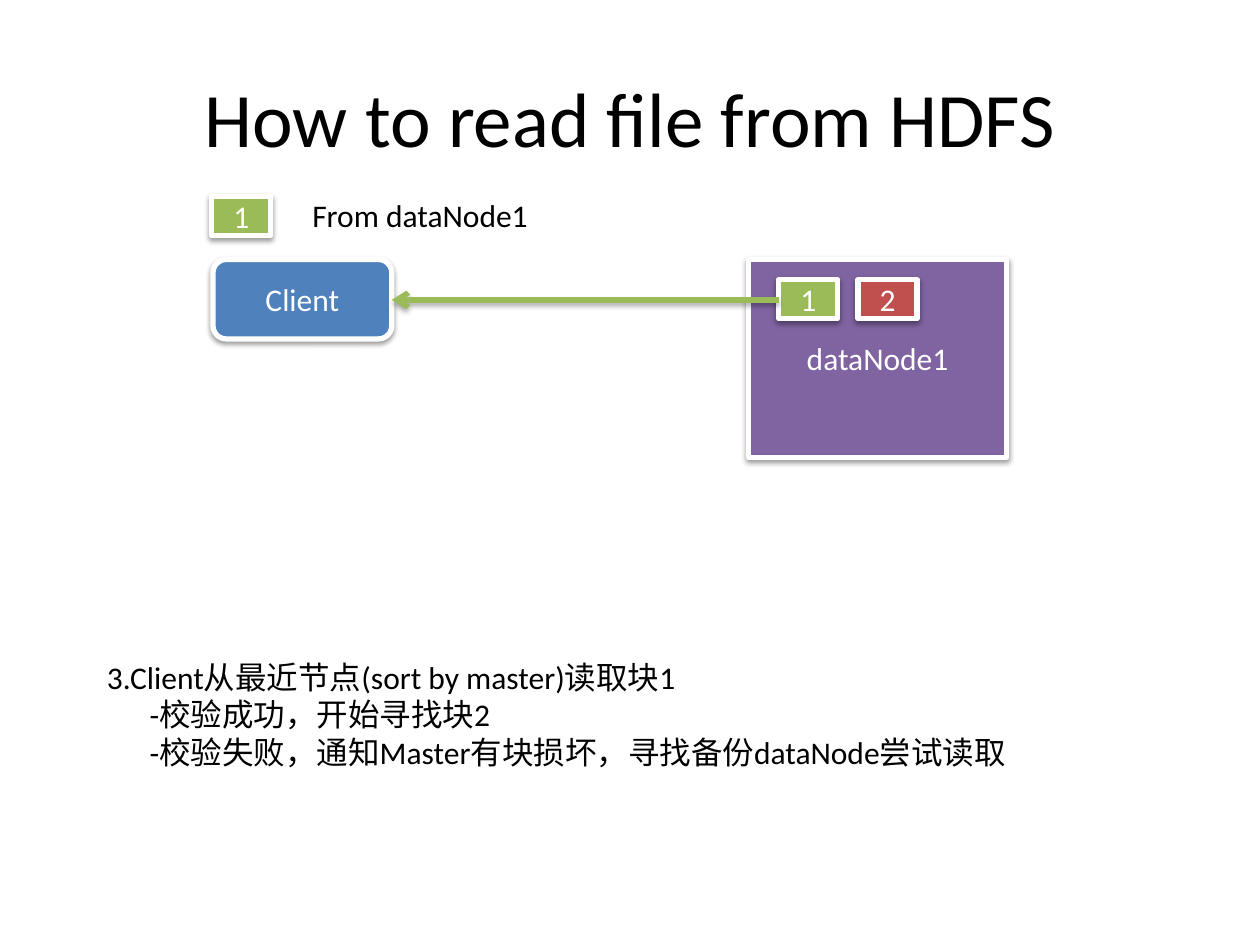
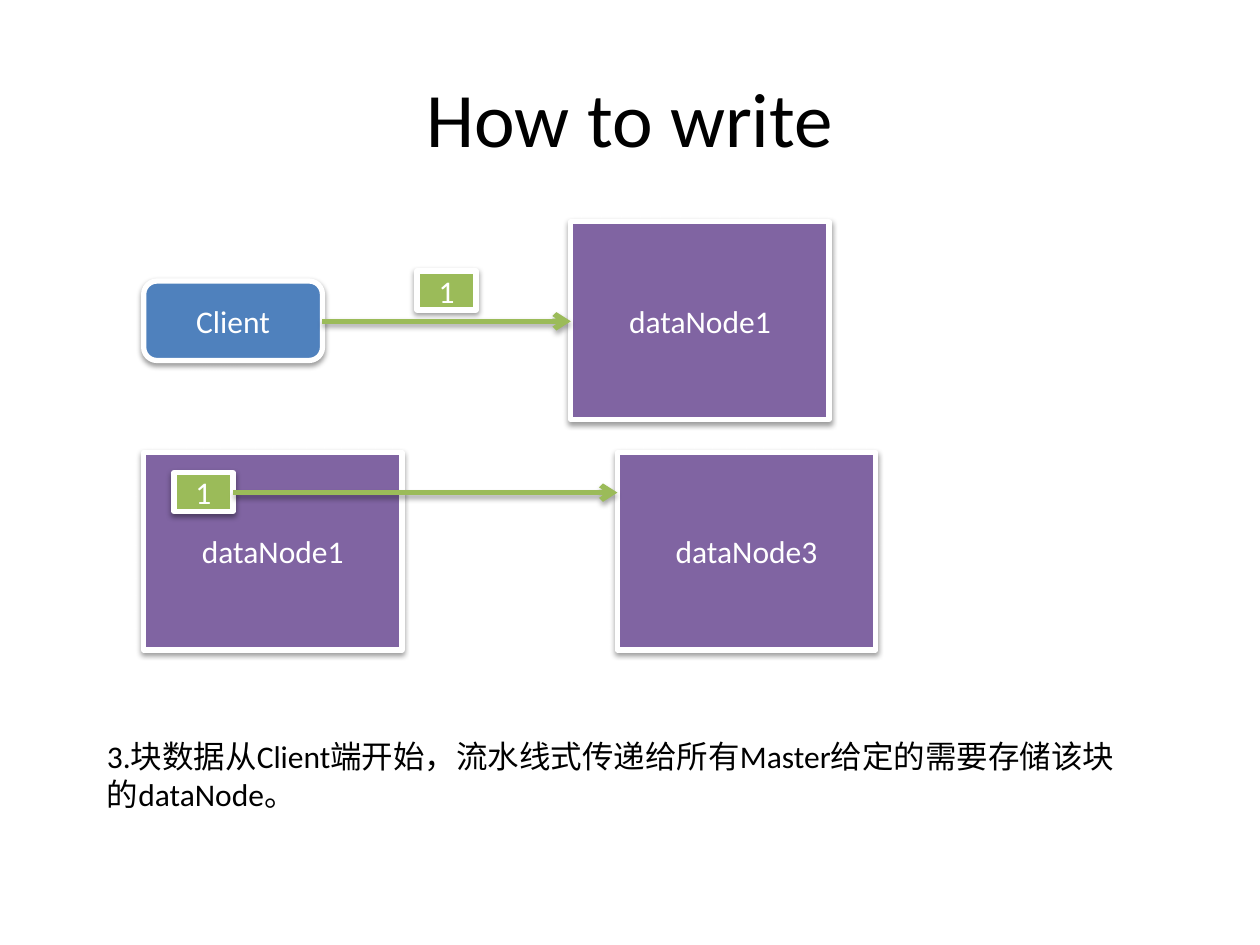
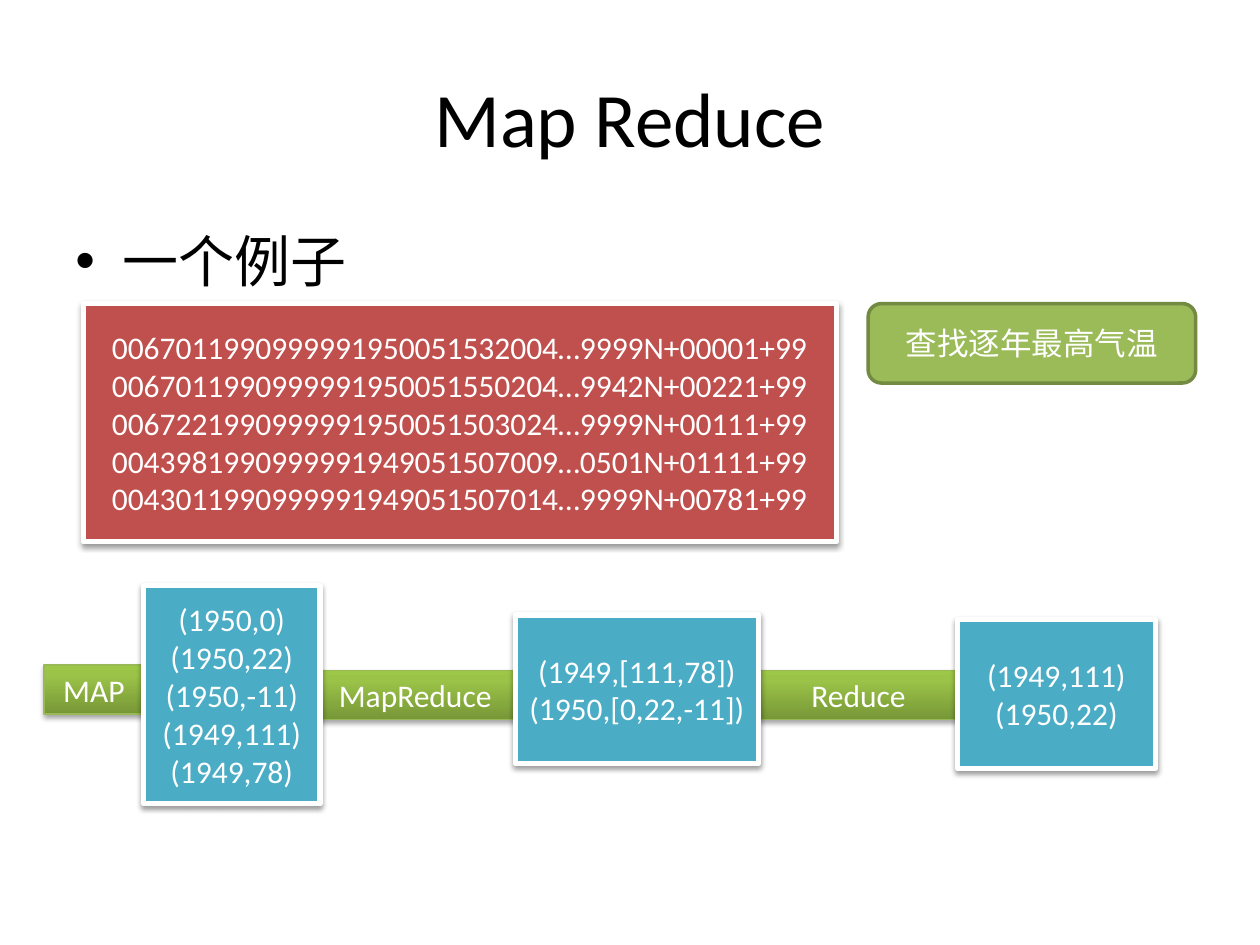
"""Builds three slides on reading and writing HDFS files and on MapReduce."""
from copy import deepcopy
from dataclasses import dataclass

from lxml import etree
from pptx import Presentation
from pptx.dml.color import RGBColor
from pptx.enum.shapes import MSO_CONNECTOR, MSO_SHAPE
from pptx.enum.text import MSO_ANCHOR, PP_ALIGN
from pptx.oxml.ns import qn
from pptx.slide import Slide
from pptx.text.text import TextFrame
from pptx.util import Pt

RECTANGLE = MSO_SHAPE.RECTANGLE
ROUNDED = MSO_SHAPE.ROUNDED_RECTANGLE
STRAIGHT = MSO_CONNECTOR.STRAIGHT
TOP, MIDDLE = MSO_ANCHOR.TOP, MSO_ANCHOR.MIDDLE
LEFT, CENTER = PP_ALIGN.LEFT, PP_ALIGN.CENTER

BLACK = RGBColor(0x00, 0x00, 0x00)
WHITE = RGBColor(0xFF, 0xFF, 0xFF)
BLUE = RGBColor(0x4F, 0x81, 0xBD)
RED = RGBColor(0xC0, 0x50, 0x4D)
GREEN = RGBColor(0x9B, 0xBB, 0x59)
DARK_GREEN = RGBColor(0x73, 0x8A, 0x42)
STEP_LINE = RGBColor(0x98, 0xB9, 0x55)
PURPLE = RGBColor(0x80, 0x64, 0xA2)
TEAL = RGBColor(0x4B, 0xAC, 0xC6)
STEP_STOPS = (
    (0, RGBColor(0x77, 0x97, 0x37)),
    (0.8, RGBColor(0x9B, 0xC3, 0x48)),
    (1, RGBColor(0x9D, 0xC7, 0x46)),
)

FONT = "Calibri"
BLOCK_OFFSET = (17.3, 11.5)
BLOCK_PITCH = 45.3


@dataclass(frozen=True)
class Shadow:
    """Opacity in percent and distance in points of a downward shadow."""
    opacity: int
    distance: float


SOFT = Shadow(38, 1.6)
STEP_SHADOW = Shadow(35, 1.8)


@dataclass(frozen=True)
class Style:
    """Look of a kind of box; without a fill it takes the step gradient."""
    fill: RGBColor | None
    line: RGBColor = WHITE
    line_width: float = 3
    shadow: Shadow | None = SOFT
    outline: MSO_SHAPE = RECTANGLE


@dataclass(frozen=True)
class Box:
    """A labelled box, measured in points."""
    label: str
    left: float
    top: float
    width: float
    height: float
    style: Style


@dataclass(frozen=True)
class Arrow:
    """A level arrow, measured in points."""
    start: float
    end: float
    y: float


STEP = Style(None, STEP_LINE, 0.75, STEP_SHADOW)
RESULT = Style(TEAL)
RECORDS = Style(RED)
TASK = Style(GREEN, DARK_GREEN, 2, None, ROUNDED)


def client(left: float, top: float) -> Box:
    """Describe the client."""
    return Box("Client", left, top, 102.2, 45.4, Style(BLUE, outline=ROUNDED))


def node(number: int, left: float, top: float) -> Box:
    """Describe a data node."""
    return Box(f"dataNode{number}", left, top, 147.6, 113, Style(PURPLE))


def block(number: int, left: float, top: float) -> Box:
    """Describe a file block, coloured by its number."""
    return Box(str(number), left, top, 33.8, 22.3, Style((GREEN, RED)[number - 1]))


def stored_block(number: int, holder: Box) -> Box:
    """Describe a file block in its place inside a data node."""
    across, down = BLOCK_OFFSET
    left = holder.left + across + (number - 1) * BLOCK_PITCH
    return block(number, left, holder.top + down)


def write(frame: TextFrame, text: str, size: float, color: RGBColor,
          align: PP_ALIGN, anchor: MSO_ANCHOR) -> None:
    """Fill a text frame, one paragraph to a line."""
    frame.text = text
    frame.vertical_anchor = anchor
    for para in frame.paragraphs:
        para.alignment = align
        for span in para.runs:
            span.font.name = FONT
            span.font.size = Pt(size)
            span.font.color.rgb = color


def add_text(page: Slide, text: str, left: float, top: float, width: float,
             height: float, size: float = 18, align: PP_ALIGN = LEFT,
             anchor: MSO_ANCHOR = TOP, wrap: bool = True) -> TextFrame:
    """Add a text box and return its frame."""
    frame = page.shapes.add_textbox(Pt(left), Pt(top), Pt(width), Pt(height)).text_frame
    frame.word_wrap = wrap
    write(frame, text, size, BLACK, align, anchor)
    return frame


def add_shadow(effects: etree._Element, shadow: Shadow) -> None:
    """Put a downward shadow into an effect list."""
    outer = etree.SubElement(effects, qn("a:outerShdw"), blurRad=str(Pt(3.1)),
                             dist=str(Pt(shadow.distance)), dir="5400000",
                             rotWithShape="0")
    color = etree.SubElement(outer, qn("a:srgbClr"), val=str(BLACK))
    etree.SubElement(color, qn("a:alpha"), val=str(shadow.opacity * 1000))


def draw_box(page: Slide, box: Box) -> None:
    """Draw a labelled box."""
    style = box.style
    shape = page.shapes.add_shape(style.outline, Pt(box.left), Pt(box.top),
                                  Pt(box.width), Pt(box.height))
    if style.fill is None:
        shape.fill.gradient()
        shape.fill.gradient_angle = 90
        stops = shape.element.spPr.find(".//" + qn("a:gsLst"))
        stops.append(deepcopy(stops[-1]))
        for stop, (position, color) in zip(shape.fill.gradient_stops, STEP_STOPS):
            stop.position = position
            stop.color.rgb = color
    else:
        shape.fill.solid()
        shape.fill.fore_color.rgb = style.fill
    shape.line.color.rgb = style.line
    shape.line.width = Pt(style.line_width)
    shape.shadow.inherit = False
    if style.shadow:
        add_shadow(shape.element.spPr.find(qn("a:effectLst")), style.shadow)
    shape.text_frame.word_wrap = True
    write(shape.text_frame, box.label, 18, WHITE, CENTER, MIDDLE)


def draw_arrow(page: Slide, arrow: Arrow) -> None:
    """Draw a level arrow."""
    connector = page.shapes.add_connector(STRAIGHT, Pt(arrow.start), Pt(arrow.y),
                                          Pt(arrow.end), Pt(arrow.y))
    connector.line.color.rgb = GREEN
    connector.line.width = Pt(3)
    properties = connector.element.spPr
    etree.SubElement(properties.find(qn("a:ln")), qn("a:tailEnd"), type="arrow")
    add_shadow(etree.SubElement(properties, qn("a:effectLst")), STEP_SHADOW)


def draw_all(page: Slide, *items: Box | Arrow) -> None:
    """Draw boxes and arrows from back to front."""
    for item in items:
        if isinstance(item, Box):
            draw_box(page, item)
        else:
            draw_arrow(page, item)


def add_page(deck: Presentation, title: str) -> Slide:
    """Add a blank page with a title."""
    page = deck.slides.add_slide(deck.slide_layouts[6])
    add_text(page, title, 36, 21.6, 648, 90, 44, CENTER, MIDDLE)
    return page


def build_read(deck: Presentation) -> None:
    """Build the page on reading a file."""
    page = add_page(deck, "How to read file from HDFS")
    notes = add_text(page, "3.Client从最近节点(sort by master)读取块1\n"
                     "-校验成功，开始寻找块2\n"
                     "-校验失败，通知Master有块损坏，寻找备份dataNode尝试读取",
                     54, 372.2, 595.4, 72.7)
    for para in notes.paragraphs[1:]:
        para._p.get_or_add_pPr().set("marL", str(Pt(24.4)))
    add_text(page, "From dataNode1", 171.4, 108.7, 139, 28.8, wrap=False)
    source = node(1, 427.7, 148.3)
    draw_all(page, block(1, 121, 112.3), source, stored_block(1, source),
             stored_block(2, source), client(121.7, 148.3),
             Arrow(445, 223.9, 171.4))


def build_write(deck: Presentation) -> None:
    """Build the page on writing a file."""
    page = add_page(deck, "How to write")
    add_text(page, "3.块数据从Client端开始，流水线式传递给所有Master给定的需要存储该块的dataNode。",
             54, 417.6, 595.4, 51.1)
    sender = node(1, 82.1, 258.5)
    draw_all(page, node(1, 326.2, 126.7), node(3, 352.8, 258.5),
             block(1, 238.3, 154.8), client(82.1, 160.6),
             Arrow(184.3, 326.2, 183.6), sender, stored_block(1, sender),
             Arrow(133.2, 352.8, 281.5))


def build_map_reduce(deck: Presentation) -> None:
    """Build the page with the MapReduce example."""
    page = add_page(deck, "Map Reduce")
    body = add_text(page, "一个例子", 36, 126, 648, 189.4, 32)
    properties = body.paragraphs[0]._p.get_or_add_pPr()
    properties.set("marL", str(Pt(27)))
    properties.set("indent", str(-Pt(27)))
    etree.SubElement(properties, qn("a:buFont"), typeface="Arial")
    etree.SubElement(properties, qn("a:buChar"), char="•")
    records = "\n".join((
        "0067011990999991950051532004…9999N+00001+99",
        "0067011990999991950051550204…9942N+00221+99",
        "0067221990999991950051503024…9999N+00111+99",
        "0043981990999991949051507009…0501N+01111+99",
        "0043011990999991949051507014…9999N+00781+99",
    ))
    draw_all(
        page,
        Box(records, 47.5, 173.5, 430.6, 136.1, RECORDS),
        Box("查找逐年最高气温", 496.1, 173.5, 187.2, 45.4, TASK),
        Box("MAP", 25.2, 380, 56.9, 28.1, STEP),
        Box("MapReduce", 180, 383, 114.5, 28.1, STEP),
        Box("Reduce", 433.4, 383, 114.5, 28.1, STEP),
        Box("(1950,0)\n(1950,22)\n(1950,-11)\n(1949,111)\n(1949,78)",
            82.1, 334.8, 100.8, 124.6, RESULT),
        Box("(1949,[111,78])\n(1950,[0,22,-11])", 294.5, 351.4, 139, 85, RESULT),
        Box("(1949,111)\n(1950,22)", 547.2, 354.2, 113, 85, RESULT),
    )


def main() -> None:
    """Build the deck and save it."""
    deck = Presentation()
    deck.slide_width, deck.slide_height = Pt(720), Pt(540)
    build_read(deck)
    build_write(deck)
    build_map_reduce(deck)
    deck.save("out.pptx")


if __name__ == "__main__":
    main()
